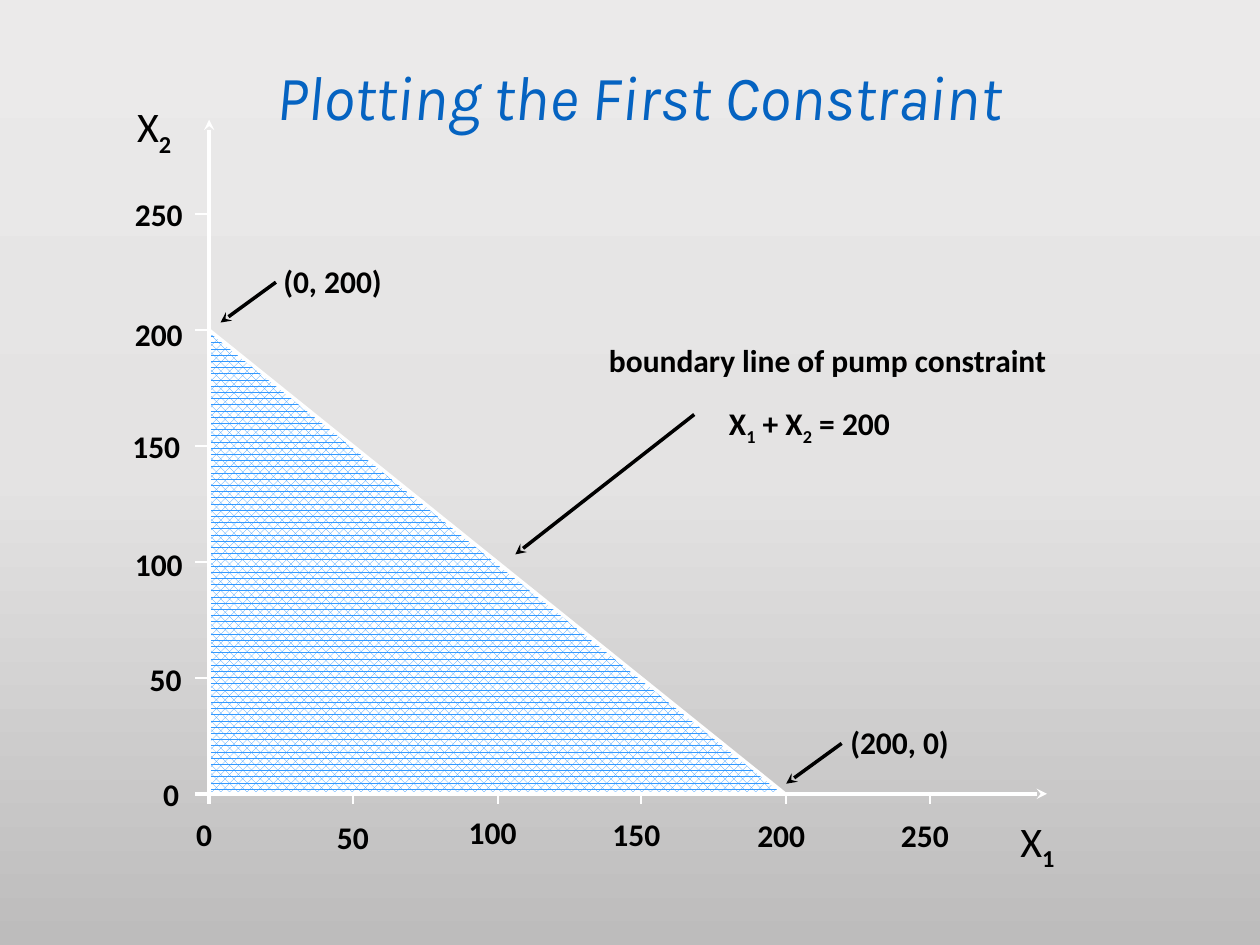
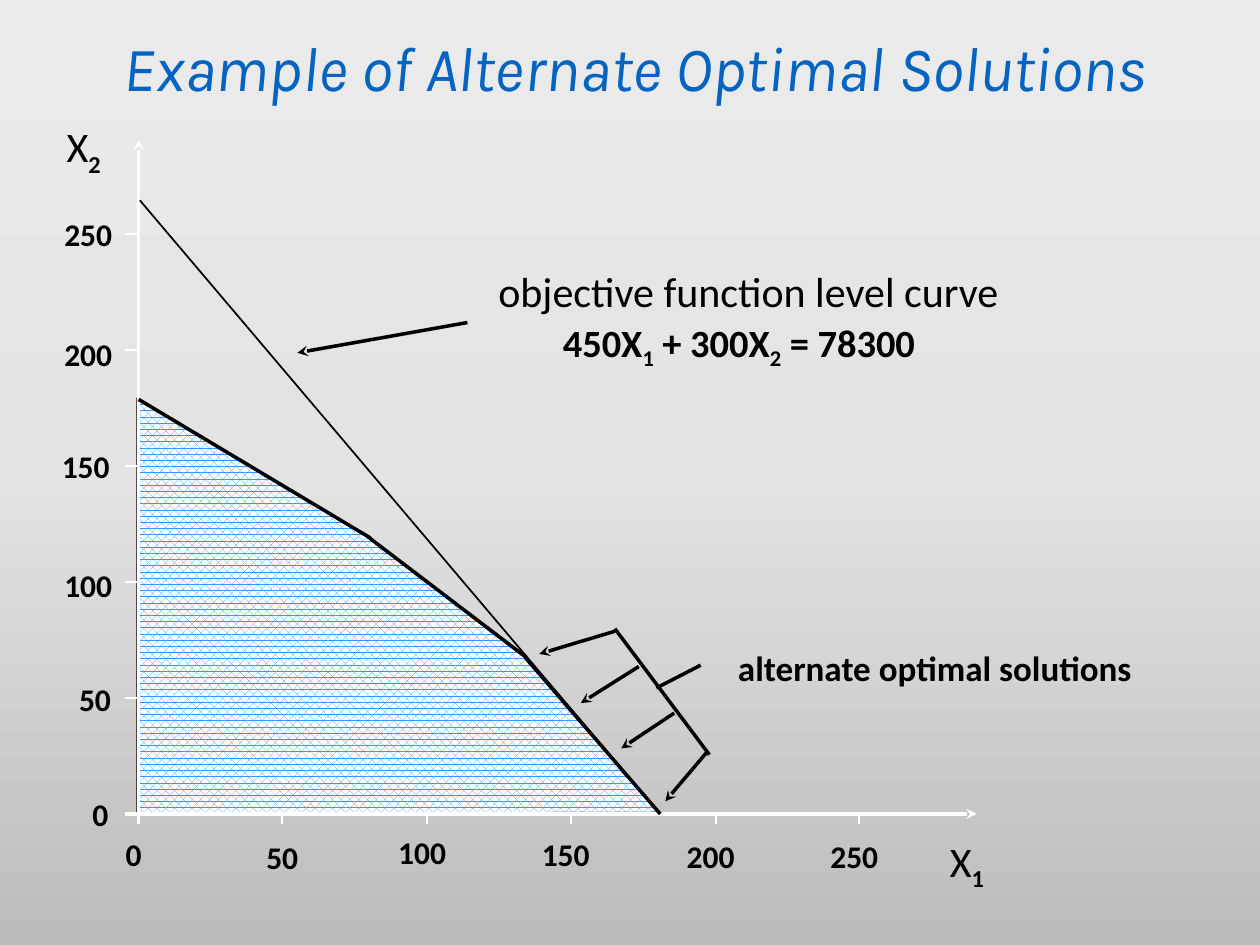
from lxml import etree
from copy import deepcopy
from pptx import Presentation
from pptx import util as u
from pptx.dml.color import RGBColor
from pptx.enum import dml, shapes, text
from pptx.oxml import ns

PX = 9144  # one px is a hundredth of an inch


class Theme:
    ink = RGBColor(0, 0, 0)
    axis = RGBColor(255, 255, 255)
    title = RGBColor(0x05, 0x63, 0xC1)
    region = RGBColor(0x33, 0x99, 0xFF)
    backdrop = [(0, "EBEAEA"), (0.5, "E4E3E3"), (1, "BDBCBC")]
    title_font, body_font = "Karla", "Calibri"
    title_size, name_size, formula_size, note_size, label_size = 36, 24, 22, 20, 18
    thin, thick = 1, 2


LEFT, CENTER, RIGHT = text.PP_ALIGN.LEFT, text.PP_ALIGN.CENTER, text.PP_ALIGN.RIGHT
TICK_X, TICK_Y = 114.4, 92  # px for every 50 units
TICKS = range(0, 251, 50)
# Small shifts (dx, dy) of the tick labels, from 0 to 250
X_NUDGES = [(0, 0), (4, 2), (0, -2), (0, 0), (0, 1), (0, 1)]
Y_NUDGES = [(-3, 0), (-1, 1), (0, 2), (-2, 0), (0, 3), (0, 0)]


def add_text(slide, content, box, size, bold=True, align=LEFT):
    """Add a text box; the character after each underscore becomes a subscript."""
    shape = slide.shapes.add_textbox(*[n * PX for n in box])
    frame = shape.text_frame
    frame.word_wrap = True
    frame.auto_size = text.MSO_AUTO_SIZE.SHAPE_TO_FIT_TEXT
    paragraph = frame.paragraphs[0]
    paragraph.alignment = align
    paragraph.font.name = Theme.body_font
    paragraph.font.size = u.Pt(size)
    paragraph.font.bold = bold
    paragraph.font.color.rgb = Theme.ink
    first, *rest = content.split("_")
    paragraph.add_run().text = first
    for part in rest:
        subscript = paragraph.add_run()
        subscript.text = part[0]
        subscript.font.bold = True
        subscript._r.get_or_add_rPr().set("baseline", "-25000")
        if part[1:]:
            paragraph.add_run().text = part[1:]
    return shape


def add_line(slide, ends, color, width, arrow=False):
    """Add a straight line; an arrow points at the second end."""
    connector = slide.shapes.add_connector(
        shapes.MSO_CONNECTOR.STRAIGHT, *[round(n) * PX for n in ends])
    connector.line.color.rgb = color
    connector.line.width = u.Pt(width)
    properties = connector._element.spPr
    if arrow:
        outline = properties.find(ns.qn("a:ln"))
        etree.SubElement(outline, ns.qn("a:tailEnd"), type="stealth")
    etree.SubElement(properties, ns.qn("a:effectLst"))


# Lines: (ends, colour, width, arrow); notes: (text, box, size, bold, alignment)
first_plot = dict(
    title="Plotting the First Constraint", title_box=(82, 42, 850, 67), spacing=1.0,
    origin=(166, 630), region=[(166, 262), (623, 630), (166, 630)], outlined=False,
    lines=[
        ((166, 262, 623, 630), Theme.axis, Theme.thick, False),
        ((219, 224, 175, 256), Theme.ink, Theme.thick, True),
        ((668, 590, 624, 622), Theme.ink, Theme.thick, True),
        ((551, 329, 409, 440), Theme.ink, Theme.thick, True),
    ],
    notes=[
        ("(0, 200)", (215, 203, 124, 40), Theme.label_size, True, LEFT),
        ("(200, 0)", (665, 569, 124, 40), Theme.label_size, True, LEFT),
        ("boundary line of pump constraint", (422, 266, 470, 40), Theme.label_size, True, CENTER),
        ("X_1 + X_2 = 200", (436, 316, 413, 40), Theme.label_size, True, CENTER),
    ],
)
second_plot = dict(
    title="Example of Alternate Optimal Solutions", title_box=(33, 25, 942, 67), spacing=0.8,
    origin=(110, 646), outlined=True,
    region=[(109, 316), (109, 646), (523, 645), (417, 522), (292, 426)],
    lines=[
        ((110, 317, 294, 427), Theme.ink, Theme.thick, False),
        ((292, 426, 418, 522), Theme.ink, Theme.thick, False),
        ((417, 522, 524, 646), Theme.ink, Theme.thick, False),
        ((523, 645, 111, 159), Theme.ink, Theme.thin, False),
        ((371, 256, 236, 280), Theme.ink, Theme.thick, True),
        ((488, 501, 428, 519), Theme.ink, Theme.thick, True),
        ((561, 597, 528, 636), Theme.ink, Theme.thick, True),
        ((488, 499, 563, 599), Theme.ink, Theme.thick, False),
        ((507, 529, 461, 558), Theme.ink, Theme.thick, True),
        ((535, 566, 493, 594), Theme.ink, Theme.thick, True),
        ((521, 546, 556, 528), Theme.ink, Theme.thick, False),
    ],
    notes=[
        ("450X_1 + 300X_2 = 78300", (391, 248, 391, 47), Theme.formula_size, True, CENTER),
        ("objective function level curve", (370, 206, 448, 50), Theme.name_size, False, CENTER),
        ("alternate optimal solutions", (550, 508, 384, 43), Theme.note_size, True, CENTER),
    ],
)

presentation = Presentation()
presentation.slide_width, presentation.slide_height = 1000 * PX, 750 * PX

for plot in (first_plot, second_plot):
    slide = presentation.slides.add_slide(presentation.slide_layouts[6])

    # Background
    fill = slide.background.fill
    fill.gradient()
    fill.gradient_angle = 270
    stop_list = slide.element.find(".//" + ns.qn("a:gsLst"))
    stop_list.append(deepcopy(stop_list[0]))
    for stop, (position, color) in zip(fill.gradient_stops, Theme.backdrop):
        stop.position = position
        stop.color.rgb = RGBColor.from_string(color)

    # Title
    title = add_text(slide, plot["title"], plot["title_box"], Theme.title_size, False, CENTER)
    title.text_frame.auto_size = text.MSO_AUTO_SIZE.NONE
    title.text_frame.vertical_anchor = text.MSO_ANCHOR.MIDDLE
    paragraph = title.text_frame.paragraphs[0]
    paragraph.line_spacing = plot["spacing"]
    paragraph.font.name = Theme.title_font
    paragraph.font.italic = True
    paragraph.font.color.rgb = Theme.title

    # Feasible region
    start, *corners = plot["region"]
    builder = slide.shapes.build_freeform(*start, scale=PX)
    builder.add_line_segments(corners, close=True)
    region = builder.convert_to_shape()
    region.shadow.inherit = False
    region.fill.patterned()
    region.fill.pattern = dml.MSO_PATTERN.PERCENT_70
    region.fill.fore_color.rgb = Theme.region
    region.fill.back_color.rgb = Theme.axis
    if plot["outlined"]:
        region.line.color.rgb = Theme.ink
        region.line.width = u.Pt(Theme.thin)
    else:
        region.line.fill.background()

    # Axes with ticks and labels
    x, y = plot["origin"]
    add_line(slide, (x - 11, y, x + 665, y), Theme.axis, Theme.thick, True)
    add_line(slide, (x, y + 8, x, y - 535), Theme.axis, Theme.thick, True)
    add_text(slide, "X_2", (x - 67, y - 555, 108, 50), Theme.name_size, False)
    add_text(slide, "X_1", (x + 634, y + 12, 108, 50), Theme.name_size, False)
    for step, value in enumerate(TICKS):
        tick_x, tick_y = round(x + step * TICK_X), y - step * TICK_Y
        if step:
            add_line(slide, (tick_x, y, tick_x, y + 8), Theme.axis, Theme.thin)
            add_line(slide, (x, tick_y, x - 11, tick_y), Theme.axis, Theme.thin)
        dx, dy = X_NUDGES[step]
        add_text(slide, str(value), (tick_x - 35 + dx, y + 12 + dy, 62, 40),
                 Theme.label_size, align=CENTER)
        dx, dy = Y_NUDGES[step]
        label = add_text(slide, str(value), (x - 70 + dx, tick_y - 20 + dy, 62, 40),
                         Theme.label_size, align=RIGHT)
        label.text_frame.margin_left = 0
        label.text_frame.margin_right = 13 * PX

    # Constraint lines, arrows and notes
    for line in plot["lines"]:
        add_line(slide, *line)
    for note in plot["notes"]:
        add_text(slide, *note)

presentation.save("out.pptx")
